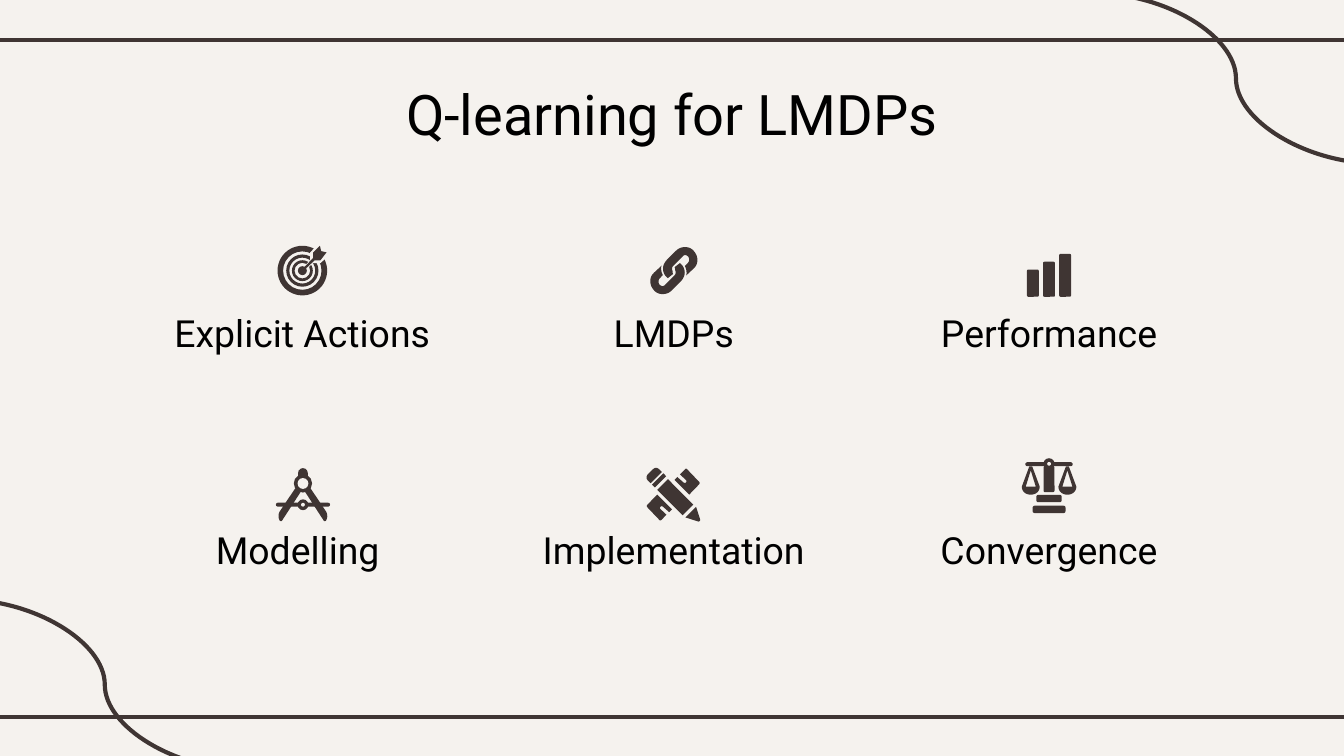
from dataclasses import dataclass

from lxml.etree import SubElement
from pptx import Presentation
from pptx.dml.color import RGBColor
from pptx.enum.shapes import MSO_CONNECTOR, MSO_SHAPE
from pptx.enum.text import MSO_ANCHOR, MSO_AUTO_SIZE, PP_ALIGN
from pptx.oxml.ns import qn
from pptx.util import Pt

COLORS = {"paper": "F5F2EE", "ink": "3F3533", "text": "000000"}
FONT = "Roboto"
ROUND = MSO_SHAPE.ROUNDED_RECTANGLE
RECT = MSO_SHAPE.RECTANGLE
OVAL = MSO_SHAPE.OVAL
DONUT = MSO_SHAPE.DONUT
CAP = MSO_SHAPE.ROUND_2_SAME_RECTANGLE


@dataclass
class Preset:
    """Preset shape, placed by its centre relative to the icon centre."""
    kind: MSO_SHAPE
    cx: float
    cy: float
    w: float
    h: float
    adj: float | None = None
    rot: float = 0
    fill: str = "ink"


@dataclass
class Outline:
    """Closed outline in M, L, C and Z commands; sx and sy flip it."""
    d: str
    fill: str = "ink"
    sx: int = 1
    sy: int = 1


@dataclass
class Topic:
    label: str
    cx: float
    top: float
    width: float
    icon_cx: float
    icon_cy: float
    icon: list


def rgb(name: str) -> RGBColor:
    return RGBColor.from_string(COLORS[name])


def write(shape, text: str, *, size: float, color: str = "text") -> None:
    tf = shape.text_frame
    tf.word_wrap = True
    tf.auto_size = MSO_AUTO_SIZE.NONE
    tf.vertical_anchor = MSO_ANCHOR.TOP
    tf.margin_left = tf.margin_right = tf.margin_top = tf.margin_bottom = Pt(7.2)
    p = tf.paragraphs[0]
    p.alignment = PP_ALIGN.CENTER
    r = p.add_run()
    r.text = text
    r.font.name, r.font.size = FONT, Pt(size)
    r.font.color.rgb = rgb(color)


def add_line(shapes, kind: MSO_CONNECTOR, x1: float, y1: float, x2: float, y2: float) -> None:
    line = shapes.add_connector(kind, Pt(x1), Pt(y1), Pt(x2), Pt(y2))
    line.line.color.rgb = rgb("ink")
    line.line.width = Pt(2.25)
    SubElement(line._element.spPr, qn("a:effectLst"))


def trace(d: str, steps: int = 8) -> list[list[tuple[float, float]]]:
    """Turn outline commands into contours, with curves sampled evenly."""
    contours, tokens = [], iter(d.split())
    for cmd in tokens:
        if cmd == "Z":
            continue
        n = 3 if cmd == "C" else 1
        pts = [(float(next(tokens)), float(next(tokens))) for _ in range(n)]
        if cmd == "M":
            contours.append(pts)
        elif cmd == "L":
            contours[-1] += pts
        else:
            ctrl = [contours[-1][-1], *pts]
            for i in range(1, steps + 1):
                t = i / steps
                weights = ((1 - t) ** 3, 3 * t * (1 - t) ** 2, 3 * t * t * (1 - t), t ** 3)
                contours[-1].append(tuple(
                    sum(k * c[axis] for k, c in zip(weights, ctrl)) for axis in (0, 1)))
    return contours


def add_piece(shapes, piece: Preset | Outline, cx: float, cy: float) -> None:
    if isinstance(piece, Preset):
        sp = shapes.add_shape(piece.kind, Pt(cx + piece.cx - piece.w / 2),
                              Pt(cy + piece.cy - piece.h / 2), Pt(piece.w), Pt(piece.h))
        sp.rotation = piece.rot
        if piece.adj is not None:
            sp.adjustments[0] = piece.adj
    else:
        contours = [[(Pt(cx + piece.sx * x), Pt(cy + piece.sy * y)) for x, y in c]
                    for c in trace(piece.d)]
        builder = shapes.build_freeform(*contours[0][0])
        for i, (start, *rest) in enumerate(contours):
            if i:
                builder.move_to(*start)
            builder.add_line_segments(rest, close=True)
        sp = builder.convert_to_shape()
    sp.shadow.inherit = False
    sp.fill.solid()
    sp.fill.fore_color.rgb = rgb(piece.fill)
    sp.line.fill.background()


# Icons, in points around their centres
LINK = ("M 3.2 -4 L 0.4 -1.8 C 0.7 -1.2 0.7 -0.7 0.7 -0.2 C 1.1 0.4 1.1 1.8 0.4 2.5 "
        "L -4.7 7.6 C -5 8 -5.5 8.3 -6.1 8.3 C -6.8 8.3 -7.2 7.9 -7.6 7.6 "
        "C -8.4 6.8 -8.4 5 -7.6 4.2 L -5.9 2.4 C -6.5 1.3 -6.8 0 -6.8 -1 "
        "C -6.8 -1.6 -6.8 -2 -6.6 -2.6 L -10.6 1.1 C -13.3 3.4 -13.3 7.8 -10.6 10.6 "
        "C -9.5 11.9 -7.8 12.6 -6.1 12.6 C -4 12.6 -2.4 11.9 -1.1 10.6 "
        "C 3.2 6.3 4.4 5.3 5 4 C 6.1 2.2 6.1 -0.2 5 -2 C 4.6 -2.8 4 -3.4 3.2 -4 Z")
RULER = ("M 6.5 -13.7 L 3.6 -10.8 L 7 -7.6 C 7.4 -6.8 6.6 -5.8 5.6 -6.4 L 2.2 -9.4 "
         "L 0.7 -7.9 L 8.6 0 L 13.9 -5.5 C 14.3 -6 14.3 -6.4 13.9 -6.8 "
         "L 7.4 -13.6 C 7.2 -13.9 6.8 -13.9 6.5 -13.7 Z")
LEG = ("M -4 -3.5 L -12.4 9 C -13.2 10.4 -13.2 12 -12.8 13 C -12.5 14.4 -11.5 14.6 -11 13.7 "
       "L -1.2 -1.4 Z")
PAN = ("M 9 -10.4 L 10.6 -10.4 L 14.6 0.4 C 14.6 3 12.5 4.7 9.8 4.7 C 7.1 4.7 5 3 5 0.4 Z "
       "M 9.8 -8.3 L 12.5 0.4 L 7.1 0.4 Z")

target = [
    *(Preset(DONUT, 0, 0, d, d, ring / d) for d, ring in ((26.6, 3), (17.3, 1.7), (11.2, 1.4))),
    Outline("M 0 -1.5 L 4.2 -5.6 L 4.2 -9.7 L 9 -15 L 15 -9 L 9.7 -4 L 5.6 -4 L 1.5 0 Z", "paper"),
    Preset(OVAL, 0, 0, 4.8, 4.8),
    Outline("M 1 -1.8 L 5.8 -6.8 L 5.8 -9.7 L 9.4 -13.3 L 10.1 -10.4 L 13 -9.8 "
            "L 9.6 -5.4 L 6.5 -5.4 L 1.8 -1 Z"),
]
chain = [Outline(LINK, sx=k, sy=k) for k in (1, -1)]
bars = [Preset(ROUND, 8.64 * i, 11.5 - h / 2, 6.4, h, 0.12)
        for i, h in zip((-1, 0, 1), (14.6, 18.8, 23))]
compass = [
    *(Outline(LEG, sx=k) for k in (1, -1)),
    Preset(CAP, 0, -11.2, 5.2, 6, 0.5),
    Preset(OVAL, 0, -6, 9.8, 9.8),
    Preset(OVAL, 0, -6, 5.8, 5.8, fill="paper"),
    Preset(ROUND, 0, 5.4, 29, 2.1, 0.5),
    Preset(OVAL, 0, 5.4, 5.8, 5.8),
    Preset(OVAL, 0, 5.4, 2, 2, fill="paper"),
]
pencil = [
    *(Outline(RULER, sx=k, sy=k) for k in (1, -1)),
    Preset(RECT, 1.1, 1.4, 8.1, 19.3, rot=-45),
    Preset(RECT, -7.6, -7.6, 8.6, 2.2, rot=-45),
    Preset(CAP, -10.7, -10.7, 8.6, 4.4, 0.5, rot=-45),
    Outline("M 12.2 6.5 L 6.5 12.2 L 13.4 14.4 C 14 14.4 14.4 14 14.4 13.4 Z"),
]
scales = [
    Preset(ROUND, 0, 12.6, 17.6, 3.9, 0.25),
    Preset(ROUND, 0, 6.8, 13.6, 3.9, 0.25),
    Preset(ROUND, 0, -3.6, 5.9, 14, 0.15),
    Preset(ROUND, 0, -11.6, 25.4, 2.1, 0.5),
    Preset(OVAL, 0, -11.8, 6, 6),
    Preset(OVAL, 0, -11.8, 2, 2, fill="paper"),
    *(Outline(PAN, sx=k) for k in (1, -1)),
]

ROW_1, ROW_2 = 159, 275
TOPICS = [
    Topic("Explicit Actions", 162, ROW_1, 202, 162, 145, target),
    Topic("LMDPs", 361, ROW_1, 168, 361, 145, chain),
    Topic("Performance", 562, ROW_1, 168, 562, 147.5, bars),
    Topic("Modelling", 159.5, ROW_2, 168, 162.3, 265, compass),
    Topic("Implementation", 361, ROW_2, 202, 360.7, 265, pencil),
    Topic("Convergence", 562, ROW_2, 168, 562, 260.3, scales),
]

prs = Presentation()
prs.slide_width, prs.slide_height = Pt(720), Pt(405)
s = prs.slides.add_slide(prs.slide_layouts[5])
s.background.fill.solid()
s.background.fill.fore_color.rgb = rgb("paper")

# Rules and corner curves
for y in (21.5, 384):
    add_line(s.shapes, MSO_CONNECTOR.STRAIGHT, -6, y, 726, y)
for x, y in ((-19.7, 321.2), (586.3, -3.6)):
    add_line(s.shapes, MSO_CONNECTOR.CURVE, x, y, x + 151.7, y + 91.2)

# Title
title = s.shapes.title
title.left, title.top, title.width, title.height = Pt(98), Pt(35.5), Pt(524), Pt(45)
write(title, "Q-learning for LMDPs", size=30)

# Topics
for topic in TOPICS:
    box = s.shapes.add_textbox(Pt(topic.cx - topic.width / 2), Pt(topic.top),
                               Pt(topic.width), Pt(35.5))
    write(box, topic.label, size=20)
    group = s.shapes.add_group_shape()
    for piece in topic.icon:
        add_piece(group.shapes, piece, topic.icon_cx, topic.icon_cy)

prs.save("out.pptx")
